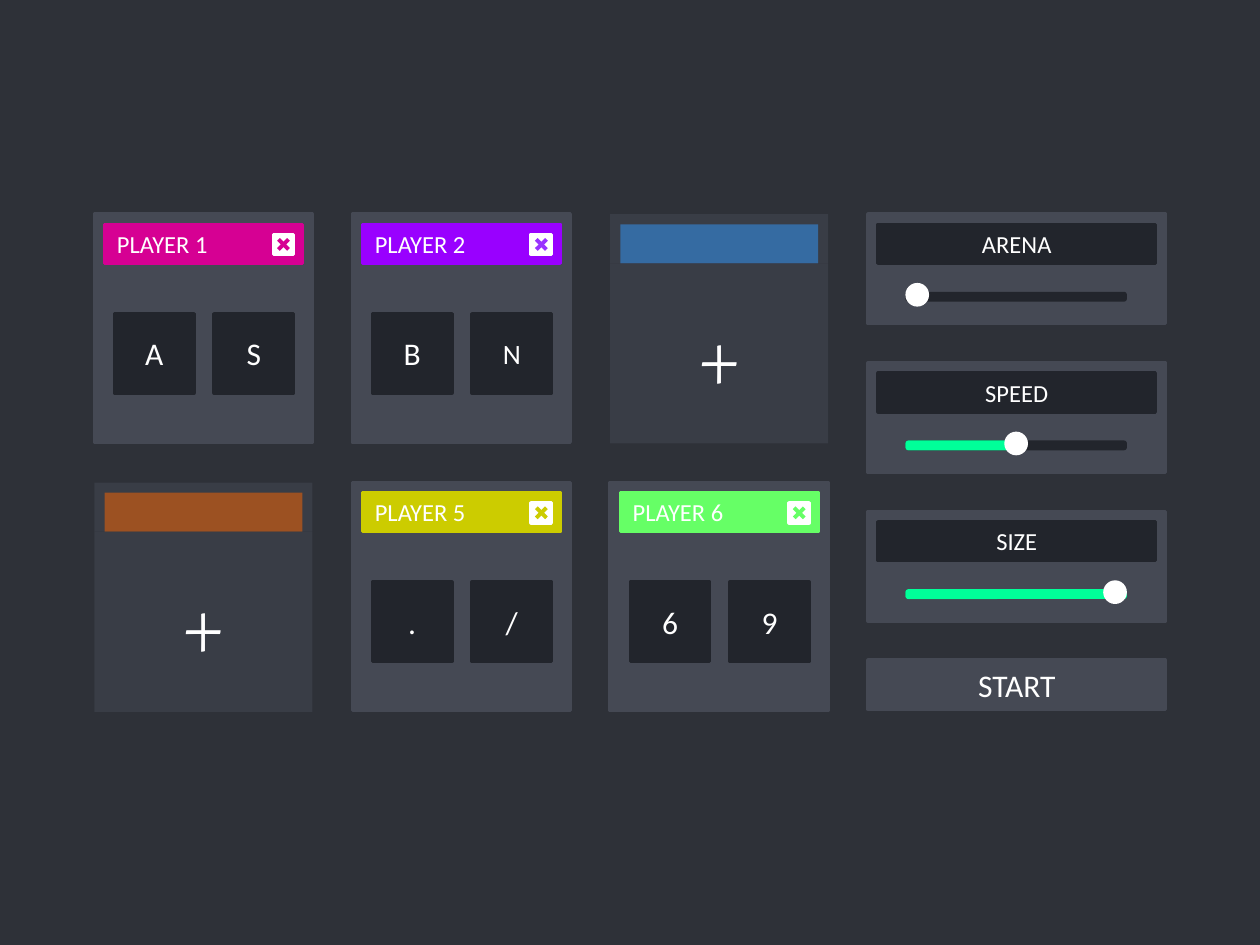
"""Build a game lobby slide with player cards, sliders and a start button."""
from dataclasses import dataclass
from typing import Optional

from lxml.etree import SubElement
from pptx import Presentation
from pptx.dml.color import RGBColor
from pptx.enum.shapes import MSO_CONNECTOR, MSO_SHAPE
from pptx.enum.text import MSO_ANCHOR, PP_ALIGN
from pptx.oxml.ns import qn
from pptx.util import Inches, Pt

BACKDROP, PANEL, DARK, WHITE, GREEN = "2E3138", "454954", "22252C", "FFFFFF", "00FF99"
LEFT, TOP, SETTINGS_LEFT = 0.75, 1.7, 6.89
COL_STEP, ROW_STEP, SLIDER_STEP = (SETTINGS_LEFT - LEFT) / 3, 2.13, 1.18
CARD_W, CARD_H, HEADER_H, PAD = 1.73, 1.81, 0.31, 0.08
SETTINGS_W, TRACK_H, KNOB = 2.36, 0.05, 0.16


@dataclass
class Key:
    text: str
    size: int = 18


@dataclass
class Player:
    col: int
    row: int
    name: str
    color: str
    cross: str
    keys: tuple[Key, Key]


@dataclass
class Slot:
    col: int
    row: int
    color: str


@dataclass
class Slider:
    name: str
    share: float


PLAYERS = [
    Player(0, 0, "PLAYER 1", "D60093", "D60093", (Key("A"), Key("S"))),
    Player(1, 0, "PLAYER 2", "9900FF", "9933FF", (Key("B"), Key("N", 16))),
    Player(1, 1, "PLAYER 5", "CCCC00", "CCCC00", (Key("."), Key("/"))),
    Player(2, 1, "PLAYER 6", "66FF66", "66FF66", (Key("6"), Key("9"))),
]
SLOTS = [Slot(2, 0, "3399FF"), Slot(0, 1, "FF6600")]
SLIDERS = [Slider("ARENA", 0), Slider("SPEED", 0.5), Slider("SIZE", 1)]

prs = Presentation()
prs.slide_width, prs.slide_height = Inches(10), Inches(7.5)
s = prs.slides.add_slide(prs.slide_layouts[6])


def rgb(color: str) -> RGBColor:
    return RGBColor.from_string(color)


def box(x: float, y: float, w: float, h: float, color: str, text: str = "",
        size: int = 14, font: str = "Calibri", align: PP_ALIGN = PP_ALIGN.CENTER,
        kind: MSO_SHAPE = MSO_SHAPE.RECTANGLE, alpha: Optional[int] = None) -> None:
    sp = s.shapes.add_shape(kind, Inches(x), Inches(y), Inches(w), Inches(h))
    sp.shadow.inherit = False
    sp.fill.solid()
    sp.fill.fore_color.rgb = rgb(color)
    if alpha is None:
        sp.line.color.rgb = rgb(color)
        sp.line.width = Pt(2)
    else:
        sp.line.fill.background()
        clr = sp._element.spPr.find(qn("a:solidFill"))[0]
        SubElement(clr, qn("a:alpha")).set("val", str(alpha * 1000))
    if text:
        tf = sp.text_frame
        tf.word_wrap = True
        tf.vertical_anchor = MSO_ANCHOR.MIDDLE
        p = tf.paragraphs[0]
        p.alignment = align
        r = p.add_run()
        r.text = text
        r.font.size, r.font.name = Pt(size), font
        r.font.color.rgb = rgb(WHITE)


def stroke(x1: float, y1: float, x2: float, y2: float, color: str) -> None:
    ln = s.shapes.add_connector(MSO_CONNECTOR.STRAIGHT, Inches(x1), Inches(y1),
                                Inches(x2), Inches(y2))
    ln.line.color.rgb = rgb(color)
    ln.line.width = Pt(2.25)
    SubElement(ln._element.spPr, qn("a:effectLst"))


def corner(col: int, row: int) -> tuple[float, float]:
    return LEFT + col * COL_STEP, TOP + row * ROW_STEP


def close_button(x: float, y: float, color: str) -> None:
    box(x, y, KNOB, KNOB, WHITE)
    near, far = 0.04, 0.12
    stroke(x + far, y + far, x + near, y + near, color)
    stroke(x + far, y + near, x + near, y + far, color)


def draw_player(player: Player) -> None:
    x, y = corner(player.col, player.row)
    box(x, y, CARD_W, CARD_H, PANEL)
    box(x + PAD, y + PAD, CARD_W - 2 * PAD, HEADER_H, player.color, player.name,
        align=PP_ALIGN.LEFT)
    for i, key in enumerate(player.keys):
        box(x + 2 * PAD + i * 0.79, y + 0.79, 0.63, 0.63, DARK, key.text, key.size)
    close_button(x + 1.42, y + 2 * PAD, player.cross)


def draw_slot(slot: Slot) -> None:
    x, y = corner(slot.col, slot.row)
    box(x, y, CARD_W, 0.39, PANEL, alpha=50)
    box(x + PAD, y + PAD, CARD_W - 2 * PAD, HEADER_H, slot.color, alpha=50)
    box(x, y + 0.39, CARD_W, 1.43, PANEL, "+", 44, "Vollkorn", alpha=50)


def draw_slider(index: int, slider: Slider) -> None:
    x, y = SETTINGS_LEFT, TOP + index * SLIDER_STEP
    track_x, track_y = x + 0.31, y + 0.63
    box(x, y, SETTINGS_W, 0.87, PANEL)
    box(x + PAD, y + PAD, SETTINGS_W - 2 * PAD, HEADER_H, DARK, slider.name)
    for share, color in ((1, DARK), (slider.share, GREEN)):
        if share:
            box(track_x, track_y, CARD_W * share, TRACK_H, color,
                kind=MSO_SHAPE.ROUNDED_RECTANGLE)
    box(track_x + slider.share * (CARD_W - KNOB), y + 0.56, KNOB, KNOB, WHITE,
        kind=MSO_SHAPE.OVAL)


s.background.fill.solid()
s.background.fill.fore_color.rgb = rgb(BACKDROP)
for player in PLAYERS:
    draw_player(player)
for slot in SLOTS:
    draw_slot(slot)
for index, slider in enumerate(SLIDERS):
    draw_slider(index, slider)
box(SETTINGS_LEFT, TOP + 3 * SLIDER_STEP, SETTINGS_W, 0.39, PANEL, "START", 18)
prs.save("out.pptx")
